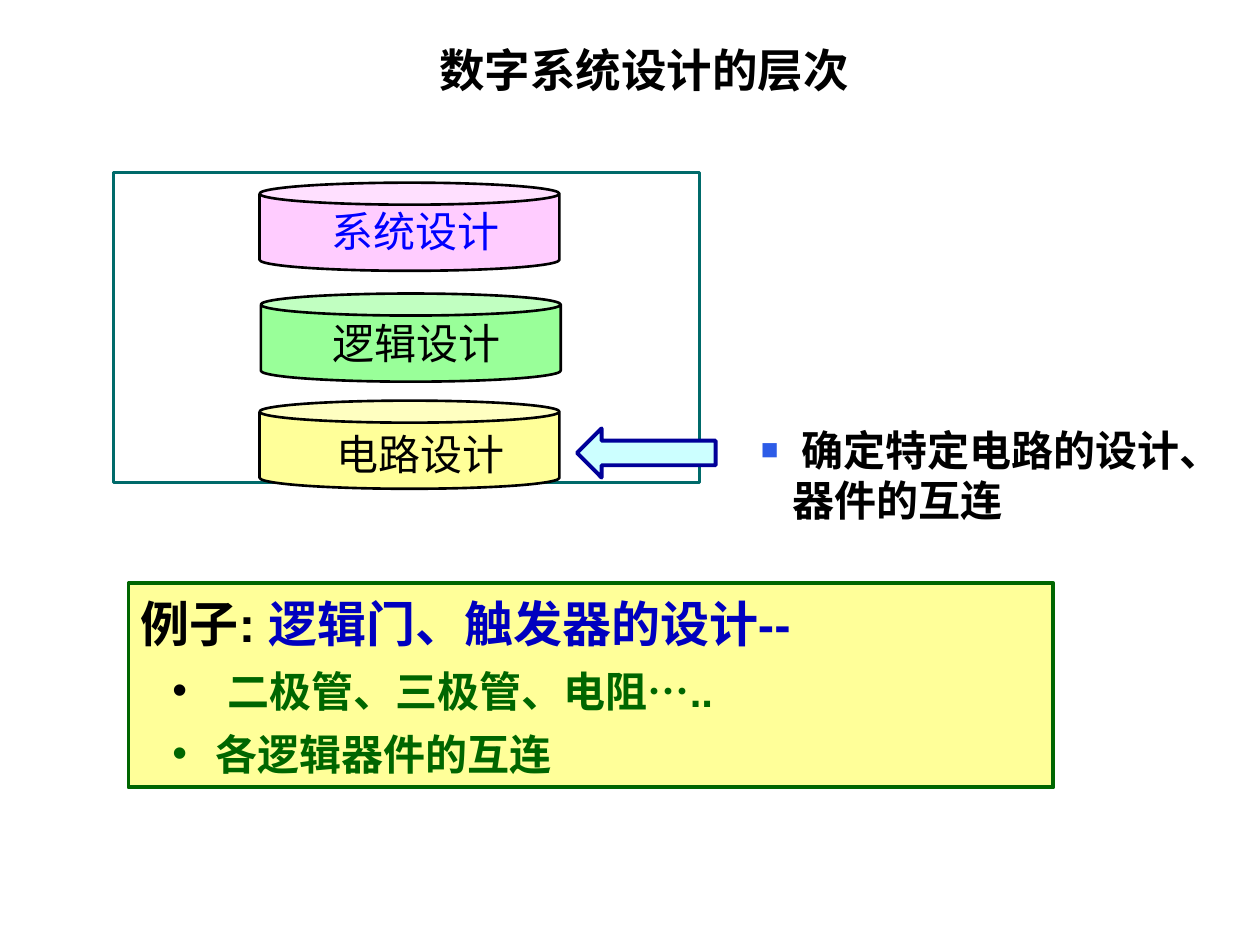
import dataclasses

import pptx
import pptx.dml.color
import pptx.enum.shapes
import pptx.enum.text
import pptx.oxml.ns
import pptx.util
from lxml import etree

Inches = pptx.util.Inches
Pt = pptx.util.Pt
Shape = pptx.enum.shapes.MSO_SHAPE
Align = pptx.enum.text.PP_ALIGN
Anchor = pptx.enum.text.MSO_ANCHOR
Fit = pptx.enum.text.MSO_AUTO_SIZE


@dataclasses.dataclass(frozen=True)
class Theme:
    sans: str = "Arial"
    serif: str = "Times New Roman"
    title_size: int = 26
    example_size: int = 28
    body_size: int = 24
    thin: float = 1.5
    thick: float = 2.25
    black: str = "000000"
    blue: str = "0000FF"
    navy: str = "0000BF"
    green: str = "006600"
    teal: str = "006A6A"
    pink: str = "FFCCFF"
    mint: str = "99FF99"
    yellow: str = "FFFF99"
    ice: str = "CCFFFF"
    arrow_edge: str = "000099"
    marker: str = "2D5CE7"


THEME = Theme()


def rgb(value):
    return pptx.dml.color.RGBColor.from_string(value)


def place(box):
    return [Inches(length) for length in box]


def add_run(paragraph, text, size, color, font=THEME.sans, bold=True):
    run = paragraph.add_run()
    run.text = text
    run.font.size = Pt(size)
    run.font.name = font
    run.font.bold = bold
    run.font.color.rgb = rgb(color)


def set_bullet(paragraph, char, color, margin, hanging, percent=100):
    properties = paragraph._p.get_or_add_pPr()
    properties.set("marL", str(Inches(margin)))
    properties.set("indent", str(-Inches(hanging)))
    qn = pptx.oxml.ns.qn
    bullet_color = etree.SubElement(properties, qn("a:buClr"))
    etree.SubElement(bullet_color, qn("a:srgbClr"), val=color)
    etree.SubElement(properties, qn("a:buSzPct"), val=str(percent * 1000))
    etree.SubElement(properties, qn("a:buFont"), typeface=THEME.sans)
    etree.SubElement(properties, qn("a:buChar"), char=char)


def add_block(shapes, kind, box, fill, edge, width):
    block = shapes.add_shape(kind, *place(box))
    block.shadow.inherit = False
    if fill:
        block.fill.solid()
        block.fill.fore_color.rgb = rgb(fill)
    else:
        block.fill.background()
    block.line.color.rgb = rgb(edge)
    block.line.width = Pt(width)
    return block


def add_text_box(shapes, box):
    frame = shapes.add_textbox(*place(box)).text_frame
    frame.word_wrap = True
    frame.auto_size = Fit.SHAPE_TO_FIT_TEXT
    return frame.paragraphs[0]


def set_title(slide, text):
    title = slide.shapes.title
    title.left, title.top, title.width, title.height = place((1.06, 0.28, 8.11, 0.54))
    title.text_frame.auto_size = Fit.NONE
    title.text_frame.vertical_anchor = Anchor.MIDDLE
    heading = title.text_frame.paragraphs[0]
    heading.alignment = Align.CENTER
    add_run(heading, text, THEME.title_size, THEME.black)


def add_level(shapes, text, can_box, label_box, fill, color):
    add_block(shapes, Shape.CAN, can_box, fill, THEME.black, THEME.thin)
    label = add_text_box(shapes, label_box)
    label.alignment = Align.CENTER
    add_run(label, text, THEME.body_size, color, THEME.serif, False)


def add_levels(slide):
    stack = slide.shapes.add_group_shape().shapes
    add_block(stack, Shape.RECTANGLE, (0.9, 1.37, 4.65, 2.46), None, THEME.teal, THEME.thin)
    levels = [
        ("系统设计", 2.06, 1.45, (2.07, 1.58, 2.46, 0.51), THEME.pink, THEME.blue),
        ("逻辑设计", 2.07, 2.33, (2.15, 2.47, 2.31, 0.5), THEME.mint, THEME.black),
        ("电路设计", 2.06, 3.18, (2.11, 3.35, 2.46, 0.51), THEME.yellow, THEME.black),
    ]
    for text, left, top, label_box, fill, color in levels:
        add_level(stack, text, (left, top, 2.38, 0.7), label_box, fill, color)


def add_circuit_note(slide):
    note = add_text_box(slide.shapes, (5.94, 3.32, 3.62, 0.91))
    set_bullet(note, "■", THEME.marker, 0.25, 0.25, 70)
    add_run(note, " 确定特定电路的设计、器件的互连", THEME.body_size, THEME.black)


def add_example(slide):
    example = add_block(slide.shapes, Shape.RECTANGLE, (1.02, 4.63, 7.34, 1.62),
                        THEME.yellow, THEME.green, THEME.thick)
    frame = example.text_frame
    frame.word_wrap = True
    frame.vertical_anchor = Anchor.TOP
    lead = frame.paragraphs[0]
    add_run(lead, "例子: ", THEME.example_size, THEME.black)
    add_run(lead, "逻辑门、触发器的设计--", THEME.example_size, THEME.navy)
    items = [
        ("二极管、三极管、电阻…..", THEME.black, 0.69),
        ("各逻辑器件的互连", THEME.green, 0.59),
    ]
    for text, bullet_color, margin in items:
        item = frame.add_paragraph()
        item.level = 1
        set_bullet(item, "•", bullet_color, margin, margin - 0.25)
        add_run(item, text, THEME.body_size, THEME.green)
    for paragraph in frame.paragraphs:
        paragraph.alignment = Align.LEFT
        paragraph.line_spacing = Pt(36)


def main():
    deck = pptx.Presentation()
    deck.slide_width, deck.slide_height = Inches(10), Inches(7.5)
    slide = deck.slides.add_slide(deck.slide_layouts[5])
    set_title(slide, "数字系统设计的层次")
    add_circuit_note(slide)
    add_example(slide)
    add_levels(slide)
    add_block(slide.shapes, Shape.LEFT_ARROW, (4.58, 3.4, 1.1, 0.39),
              THEME.ice, THEME.arrow_edge, THEME.thick)
    deck.save("out.pptx")


if __name__ == "__main__":
    main()
